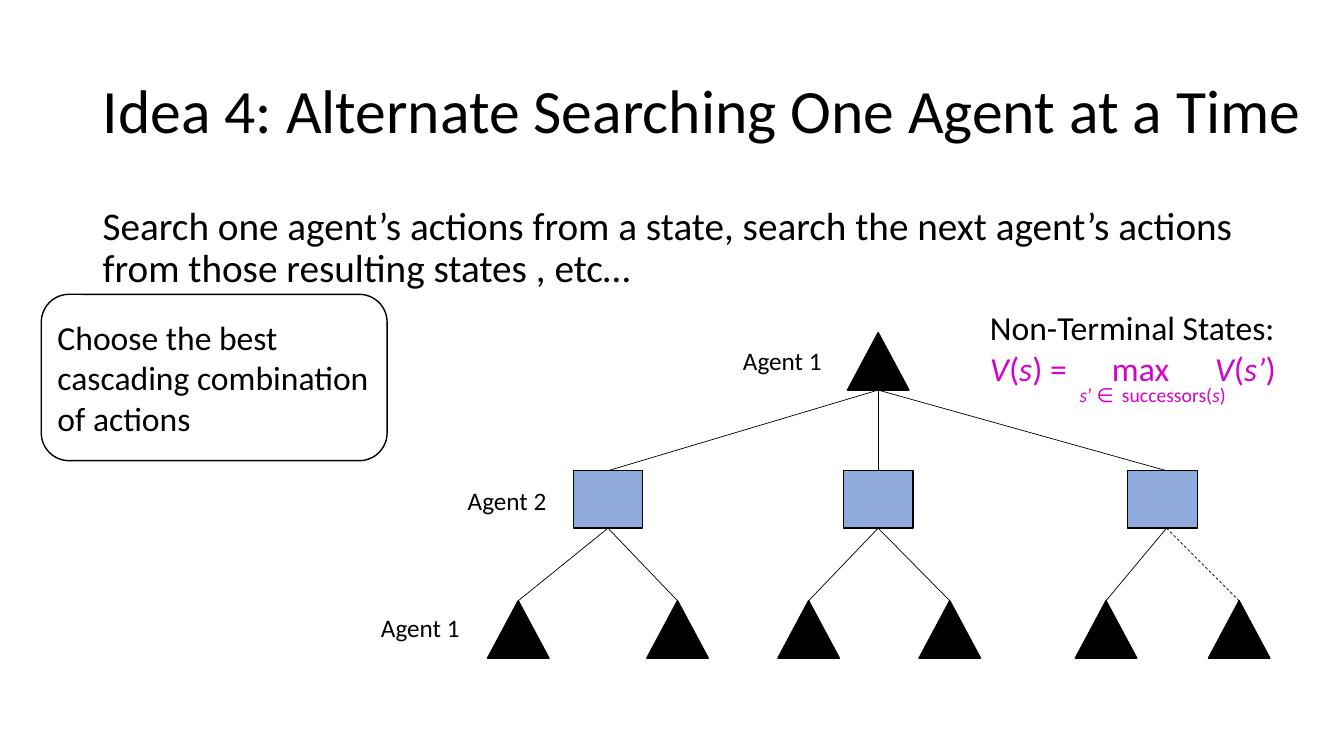
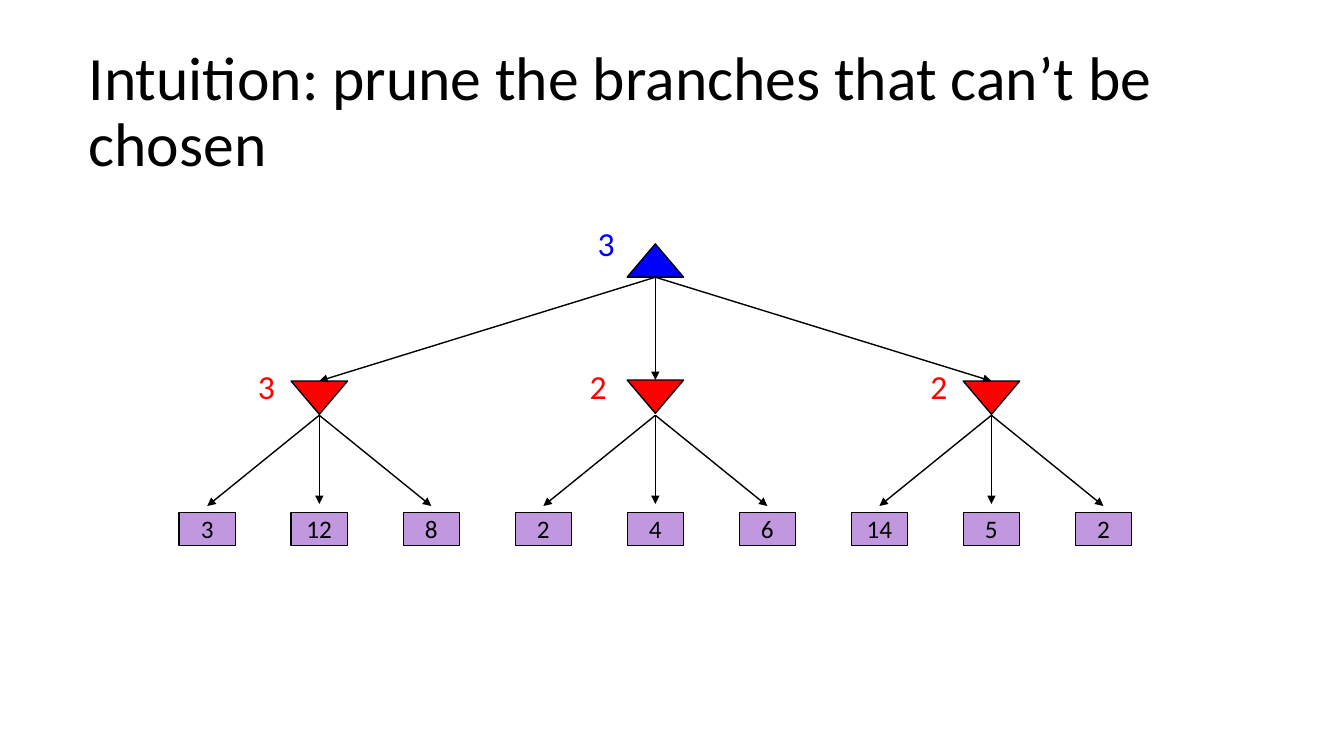
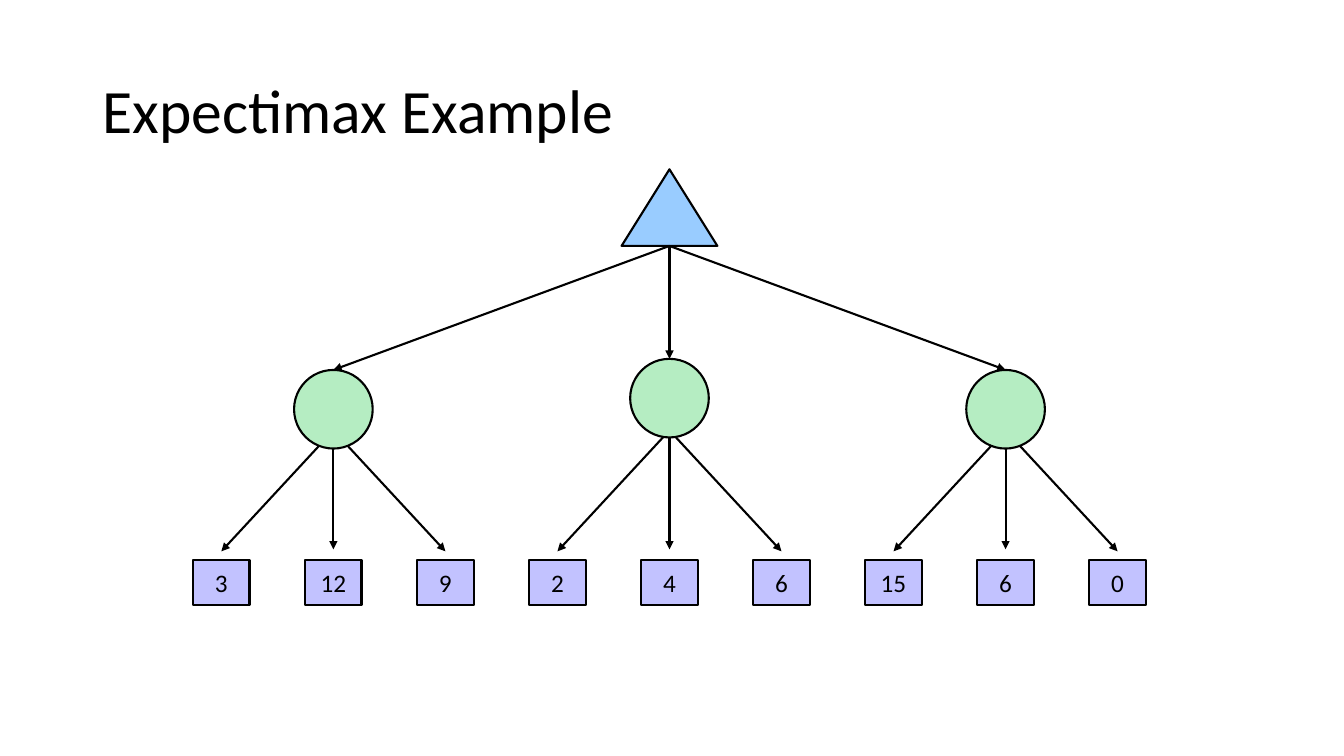
import pptx
import pptx.util
import pptx.dml.color
import pptx.enum.dml
import pptx.enum.shapes
import pptx.enum.text
import pptx.oxml.ns
from dataclasses import dataclass
from lxml import etree

Inches = pptx.util.Inches
Pt = pptx.util.Pt
RGBColor = pptx.dml.color.RGBColor
SHAPE = pptx.enum.shapes.MSO_SHAPE
ANCHOR = pptx.enum.text.MSO_ANCHOR
ALIGN = pptx.enum.text.PP_ALIGN
qn = pptx.oxml.ns.qn

FONT = "Calibri"
BLACK = RGBColor(0x00, 0x00, 0x00)
BLUE = RGBColor(0x00, 0x00, 0xFF)
RED = RGBColor(0xFF, 0x00, 0x00)
MAGENTA = RGBColor(0xD3, 0x03, 0xCA)
STEEL = RGBColor(0x8F, 0xAA, 0xDC)
PURPLE = RGBColor(0xC1, 0x98, 0xE0)
SKY = RGBColor(0x99, 0xCC, 0xFF)
MINT = RGBColor(0xB5, 0xED, 0xC2)
LAVENDER = RGBColor(0xC2, 0xC2, 0xFF)


@dataclass
class Node:
    kind: int
    width: float
    height: float
    fill: RGBColor
    line_width: float
    rotation: int = 0


@dataclass
class GameTree:
    center: float
    root: Node
    root_top: float
    branch: Node
    branch_tops: tuple
    leaf: Node
    leaf_top: float
    fork_top: float
    tip_middle: float
    tip_side: float
    values: tuple


def add_run(paragraph, text, size, color=BLACK, italic=False):
    run = paragraph.add_run()
    run.text = text
    run.font.name = FONT
    run.font.size = Pt(size)
    run.font.color.rgb = color
    run.font.italic = italic


def add_text(slide, left, top, width, height, text, size, color=BLACK, wrap=True):
    box = slide.shapes.add_textbox(*map(Inches, (left, top, width, height)))
    frame = box.text_frame
    frame.word_wrap = wrap
    if text:
        add_run(frame.paragraphs[0], text, size, color)
    return frame


def add_title(slide, text, left=0.92, width=11.5):
    frame = add_text(slide, left, 0.4, width, 1.45, text, 44)
    frame.vertical_anchor = ANCHOR.MIDDLE
    frame.paragraphs[0].line_spacing = 0.9


def add_label(slide, left, top, text, size, color=BLACK, width=0.37, height=0.5):
    add_text(slide, left, top, width, height, text, size, color, wrap=False)


def add_tab_stops(paragraph, positions):
    tabs = etree.SubElement(paragraph._p.get_or_add_pPr(), qn("a:tabLst"))
    for position in positions:
        etree.SubElement(tabs, qn("a:tab"), pos=str(Inches(position)), algn="l")


def add_math(paragraph, pieces, size, tabs):
    add_tab_stops(paragraph, tabs)
    for text, italic in pieces:
        add_run(paragraph, text, size, MAGENTA, italic)


def add_node(slide, node, center, top, text=""):
    shape = slide.shapes.add_shape(
        node.kind, Inches(center - node.width / 2), Inches(top),
        Inches(node.width), Inches(node.height))
    shape.shadow.inherit = False
    shape.rotation = node.rotation
    shape.fill.solid()
    shape.fill.fore_color.rgb = node.fill
    shape.line.color.rgb = BLACK
    shape.line.width = Pt(node.line_width)
    if text:
        frame = shape.text_frame
        frame.word_wrap = False
        frame.vertical_anchor = ANCHOR.MIDDLE
        frame.paragraphs[0].alignment = ALIGN.CENTER
        add_run(frame.paragraphs[0], text, 18)


def add_line(slide, start, end, width, arrow=False, dashed=False):
    connector = slide.shapes.add_connector(
        pptx.enum.shapes.MSO_CONNECTOR.STRAIGHT, *map(Inches, (*start, *end)))
    connector.line.color.rgb = BLACK
    connector.line.width = Pt(width)
    if dashed:
        connector.line.dash_style = pptx.enum.dml.MSO_LINE.DASH
    properties = connector._element.spPr
    if arrow:
        etree.SubElement(properties.find(qn("a:ln")), qn("a:tailEnd"), type="triangle")
    etree.SubElement(properties, qn("a:effectLst"))


def add_callout(slide, left, top, width, height, text):
    shape = slide.shapes.add_shape(
        SHAPE.ROUNDED_RECTANGLE, *map(Inches, (left, top, width, height)))
    shape.shadow.inherit = False
    shape.fill.background()
    shape.line.color.rgb = BLACK
    shape.line.width = Pt(1)
    frame = shape.text_frame
    frame.word_wrap = True
    frame.vertical_anchor = ANCHOR.MIDDLE
    frame.margin_left = Inches(0.08)
    frame.margin_right = Inches(0.02)
    frame.paragraphs[0].alignment = ALIGN.LEFT
    add_run(frame.paragraphs[0], text, 24)


def add_game_tree(slide, tree):
    pitch = 10 / 9
    root_bottom = (tree.center, tree.root_top + tree.root.height)
    add_node(slide, tree.root, *([tree.center, tree.root_top]))
    for group, (top, values) in enumerate(zip(tree.branch_tops, tree.values)):
        branch_center = tree.center + (group - 1) * 3 * pitch
        for index, value in enumerate(values):
            leaf_center = branch_center + (index - 1) * pitch
            tip = tree.tip_middle if index == 1 else tree.tip_side
            add_line(slide, (branch_center, tree.fork_top), (leaf_center, tip),
                     tree.branch.line_width, arrow=True)
            add_node(slide, tree.leaf, leaf_center, tree.leaf_top, str(value))
        add_node(slide, tree.branch, branch_center, top)
        add_line(slide, root_bottom, (branch_center, top),
                 tree.root.line_width, arrow=True)


def add_agent_tree(slide):
    triangle = Node(SHAPE.ISOSCELES_TRIANGLE, 0.61, 0.57, BLACK, 1)
    square = Node(SHAPE.RECTANGLE, 0.69, 0.57, STEEL, 1)
    root, root_top, square_top, leaf_top = 8.71, 3.3, 4.67, 5.96
    branches = ((6.03, (5.14, 6.72)), (8.71, (8.02, 9.42)), (11.53, (10.97, 12.29)))
    add_node(slide, triangle, root, root_top)
    for center, leaves in branches:
        fork = 11.57 if center == branches[-1][0] else center
        add_line(slide, (root, root_top + triangle.height), (fork, square_top), 0.5)
        for leaf in leaves:
            add_node(slide, triangle, leaf, leaf_top)
            add_line(slide, (fork, square_top + square.height), (leaf, leaf_top), 0.5,
                     dashed=leaf == branches[-1][1][-1])
        add_node(slide, square, center, square_top)


def add_value_formula(slide):
    frame = add_text(slide, 9.72, 3, 3.08, 0.91, "Non-Terminal States:", 24)
    add_math(frame.add_paragraph(), (
        ("V", True), ("(", False), ("s", True), (") =\tmax\t", False),
        ("V", True), ("(", False), ("s’", True), (")", False)), 24, (1.21, 2.23))
    frame = add_text(slide, 10.61, 3.75, 1.86, 0.34, "", 14)
    add_math(frame.paragraphs[0], (
        ("s", True), ("’ ∈\tsuccessors(", False), ("s", True), (")", False)), 14, (0.42,))


def build_alternate_search(slide):
    add_title(slide, "Idea 4: Alternate Searching One Agent at a Time", width=12.42)
    for left, top, text in ((7.27, 3.38, "Agent 1"), (4.54, 4.77, "Agent 2"),
                            (3.68, 6.03, "Agent 1")):
        add_label(slide, left, top, text, 18, width=0.99, height=0.4)
    body = add_text(
        slide, 0.92, 2, 11.5, 1,
        "Search one agent’s actions from a state, search the next agent’s actions "
        "from those resulting states , etc…", 28)
    body.paragraphs[0].line_spacing = 0.9
    add_agent_tree(slide)
    add_value_formula(slide)
    add_callout(slide, 0.41, 2.92, 3.43, 1.65,
                "Choose the best cascading combination of actions")


def build_pruning(slide):
    add_title(slide, "Intuition: prune the branches that can’t be chosen", 0.78, 12.55)
    add_game_tree(slide, GameTree(
        center=6.5,
        root=Node(SHAPE.ISOSCELES_TRIANGLE, 0.56, 0.33, BLUE, 1), root_top=2.42,
        branch=Node(SHAPE.ISOSCELES_TRIANGLE, 0.56, 0.33, RED, 1, 180),
        branch_tops=(3.78, 3.77, 3.78),
        leaf=Node(SHAPE.RECTANGLE, 0.56, 0.33, PURPLE, 0.75), leaf_top=5.08,
        fork_top=4.12, tip_middle=5, tip_side=5.02,
        values=((3, 12, 8), (2, 4, 6), (14, 5, 2))))
    for left, top, text, color in ((5.83, 2.16, "3", BLUE), (2.46, 3.58, "3", RED),
                                   (5.75, 3.58, "2", RED), (9.13, 3.58, "2", RED)):
        add_label(slide, left, top, text, 24, color)


def build_expectimax(slide):
    add_title(slide, "Expectimax Example")
    add_game_tree(slide, GameTree(
        center=6.64,
        root=Node(SHAPE.ISOSCELES_TRIANGLE, 0.95, 0.76, SKY, 1.5), root_top=1.68,
        branch=Node(SHAPE.OVAL, 0.78, 0.78, MINT, 1.5),
        branch_tops=(3.67, 3.56, 3.67),
        leaf=Node(SHAPE.RECTANGLE, 0.56, 0.44, LAVENDER, 1.5), leaf_top=5.56,
        fork_top=4.27, tip_middle=5.45, tip_side=5.47,
        values=((3, 12, 9), (2, 4, 6), (15, 6, 0))))


def main():
    presentation = pptx.Presentation()
    presentation.slide_width = Inches(13.33)
    presentation.slide_height = Inches(7.5)
    for build in (build_alternate_search, build_pruning, build_expectimax):
        build(presentation.slides.add_slide(presentation.slide_layouts[6]))
    presentation.save("out.pptx")


if __name__ == "__main__":
    main()
